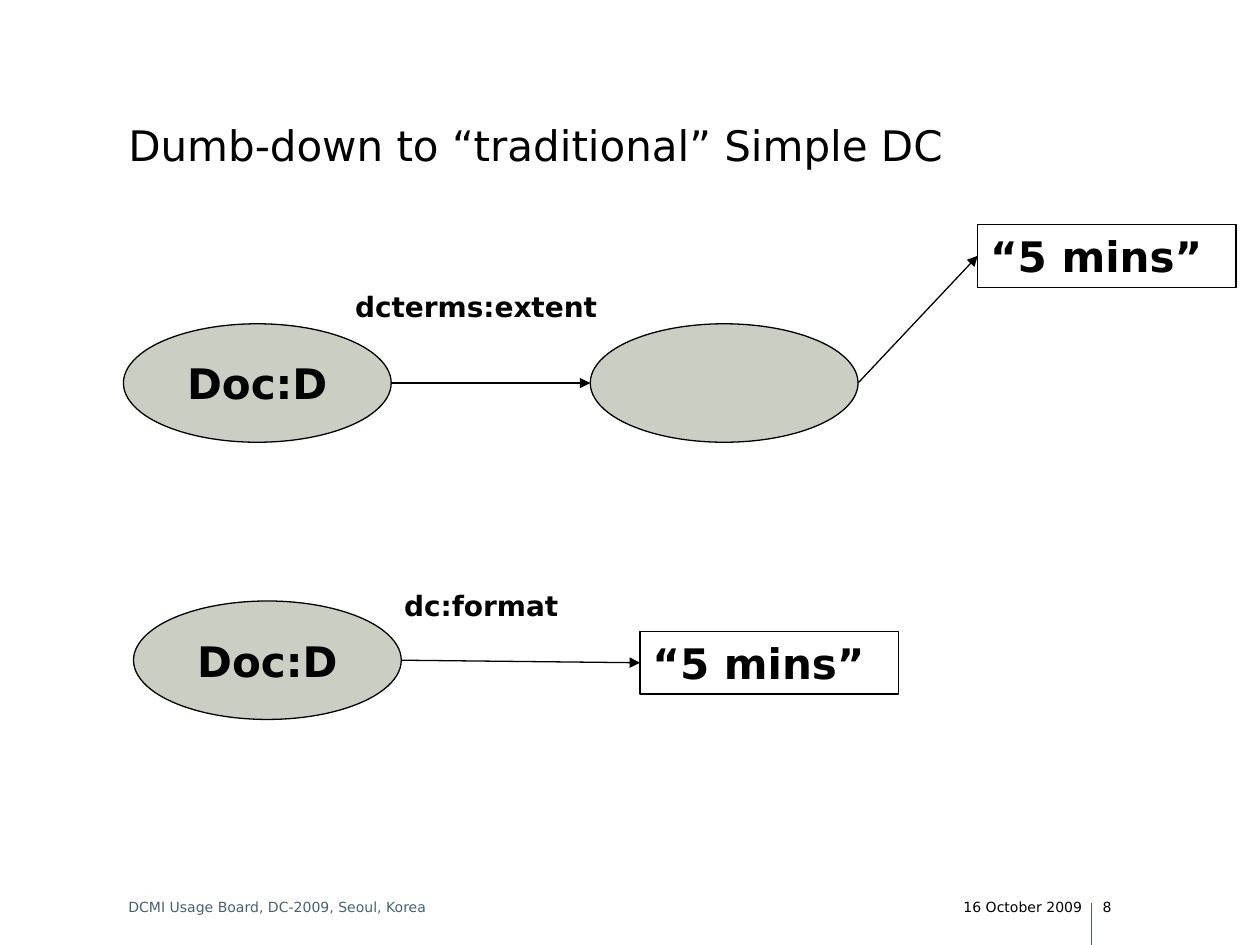
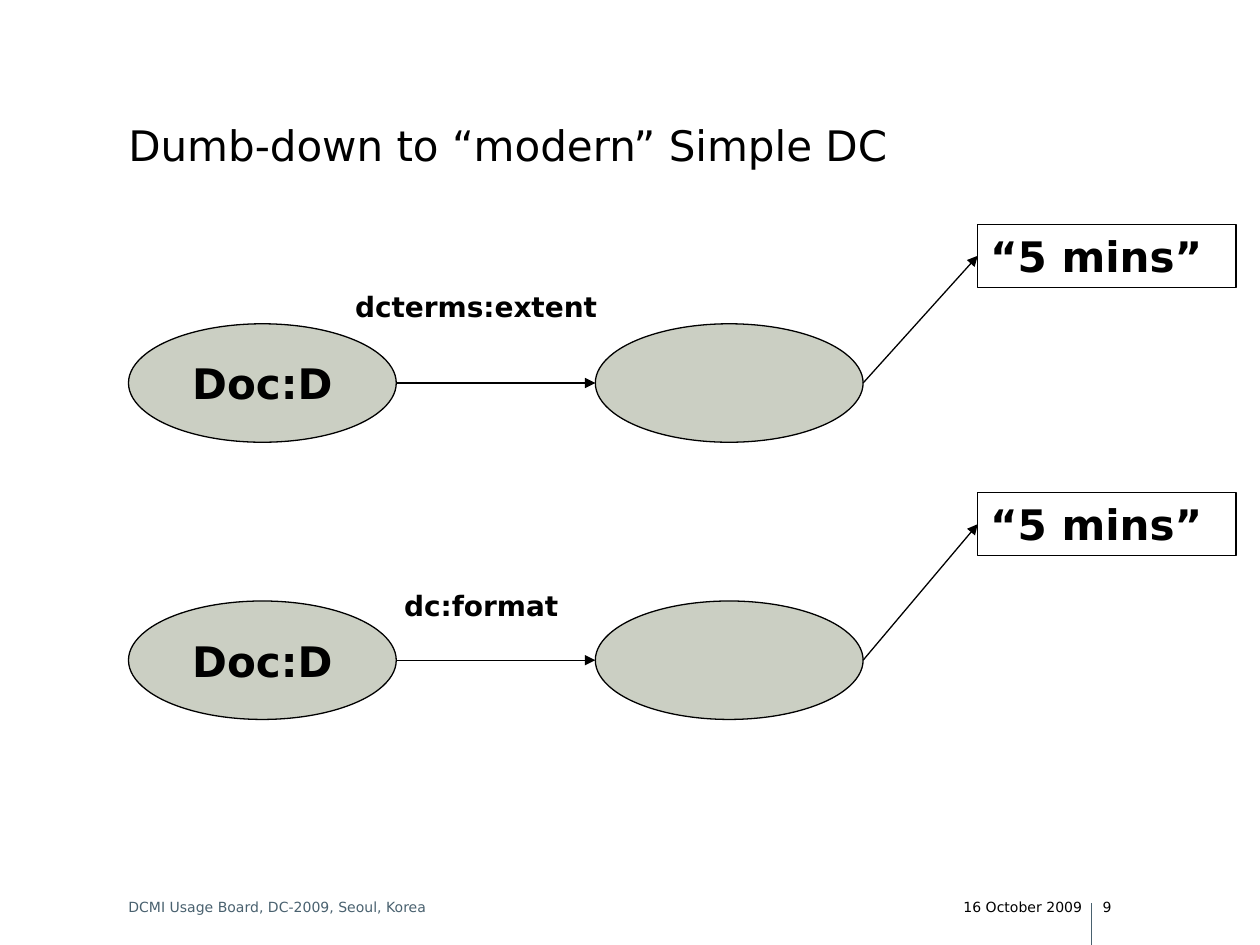
from pptx import Presentation, util as u
from pptx.dml.color import RGBColor
from pptx.enum import shapes, text
from pptx.oxml.ns import qn
from lxml import etree

COLUMNS, ROWS = 100, 75
OVAL = shapes.MSO_SHAPE.OVAL
RECTANGLE = shapes.MSO_SHAPE.RECTANGLE
LEFT_SIDE = 1
OVAL_SIZE = (21.25, 9.4)
LITERAL_SIZE = (20.5, 5)
UPPER_ROW, LOWER_ROW = 25.7, 47.7
LITERAL_COLUMN = 77.6


def color(value):
    return RGBColor.from_string(value)


class Sheet:
    font = "DejaVu Sans"
    ink, slate, sage = "000000", "49616F", "CBCFC3"

    def __init__(self, deck):
        self.deck = deck
        self.column = deck.slide_width / COLUMNS
        self.row = deck.slide_height / ROWS
        self.page = None

    def place(self, left, top, width, height):
        return (round(left * self.column), round(top * self.row),
                round(width * self.column), round(height * self.row))

    def letter(self, box, words, size, bold=False, ink=ink,
               align=text.PP_ALIGN.LEFT, anchor=text.MSO_ANCHOR.TOP,
               wrap=True, insets=(0.1, 0.05, 0.1, 0.05)):
        frame = box.text_frame
        frame.word_wrap = wrap
        frame.vertical_anchor = anchor
        (frame.margin_left, frame.margin_top,
         frame.margin_right, frame.margin_bottom) = map(u.Inches, insets)
        para = frame.paragraphs[0]
        para.text = words
        para.alignment = align
        para.font.name = self.font
        para.font.size = u.Pt(size)
        para.font.bold = bold
        para.font.color.rgb = color(ink)

    def label(self, area, words, size, **style):
        box = self.page.shapes.add_textbox(*self.place(*area))
        self.letter(box, words, size, **style)

    def shape(self, kind, area):
        shape = self.page.shapes.add_shape(kind, *self.place(*area))
        shape.shadow.inherit = False
        shape.line.color.rgb = color(self.ink)
        shape.line.width = u.Pt(0.75)
        return shape

    def resource(self, left, top, words=None):
        oval = self.shape(OVAL, (left, top, *OVAL_SIZE))
        oval.fill.solid()
        oval.fill.fore_color.rgb = color(self.sage)
        if words:
            self.letter(oval, words, 24, bold=True, wrap=False,
                        align=text.PP_ALIGN.CENTER, anchor=text.MSO_ANCHOR.MIDDLE)
        return oval

    def literal(self, left, top, words):
        box = self.shape(RECTANGLE, (left, top, *LITERAL_SIZE))
        box.fill.background()
        self.letter(box, words, 24, bold=True)
        return box

    def line(self, x1, y1, x2, y2, ink, width):
        line = self.page.shapes.add_connector(
            shapes.MSO_CONNECTOR.STRAIGHT, x1, y1, x2, y2)
        line.line.color.rgb = color(ink)
        line.line.width = u.Pt(width)
        etree.SubElement(line._element.spPr, qn("a:effectLst"))
        return line

    def arrow(self, source, target):
        arrow = self.line(source.left + source.width, source.top + source.height // 2,
                          target.left, target.top + target.height // 2, self.ink, 0.75)
        outline = arrow._element.spPr.find(qn("a:ln"))
        etree.SubElement(outline, qn("a:tailEnd"), type="triangle")
        if target.auto_shape_type == RECTANGLE:
            arrow.end_connect(target, LEFT_SIDE)

    def chain(self, *nodes):
        for source, target in zip(nodes, nodes[1:]):
            self.arrow(source, target)

    def start(self, title, number):
        self.page = self.deck.slides.add_slide(self.deck.slide_layouts[6])
        x1, y1, x2, y2 = self.place(86.6, 71.7, 86.6, ROWS)
        self.line(x1, y1, x2, y2, self.slate, 0.65)
        self.label((9.2, 9, 72.5, 12.5), title, 24)
        self.label((9.2, 71.3, 31.7, 2.5), "DCMI Usage Board, DC-2009, Seoul, Korea", 8,
                   ink=self.slate, insets=(0.1, 0, 0.1, 0.05))
        self.label((87.5, 71.3, 9.2, 2.5), str(number), 8, insets=(0, 0, 0.1, 0.05))
        self.label((72.5, 71.3, 13.4, 2.5), "16 October 2009", 8,
                   align=text.PP_ALIGN.RIGHT, insets=(0.1, 0, 0, 0.05))

    def statement_labels(self):
        self.label((27.2, 22.5, 22.1, 3.7), "dcterms:extent", 16, bold=True)
        self.label((31.1, 46.2, 22, 3.7), "dc:format", 16, bold=True)

    def described_value(self, left, top, literal_top):
        self.chain(self.resource(left, top, "Doc:D"),
                   self.resource(left + 37.05, top),
                   self.literal(LITERAL_COLUMN, literal_top, "“5 mins”"))


def main():
    deck = Presentation()
    deck.slide_width, deck.slide_height = u.Inches(10), u.Inches(7.5)
    sheet = Sheet(deck)

    sheet.start("Dumb-down to “traditional” Simple DC", 8)
    sheet.described_value(9.8, UPPER_ROW, 17.8)
    sheet.chain(sheet.resource(10.6, LOWER_ROW, "Doc:D"),
                sheet.literal(50.8, 50.1, "“5 mins”"))
    sheet.statement_labels()

    sheet.start("Dumb-down to “modern” Simple DC", 9)
    sheet.described_value(10.2, UPPER_ROW, 17.8)
    sheet.described_value(10.2, LOWER_ROW, 39.1)
    sheet.statement_labels()

    deck.save("out.pptx")


if __name__ == "__main__":
    main()
